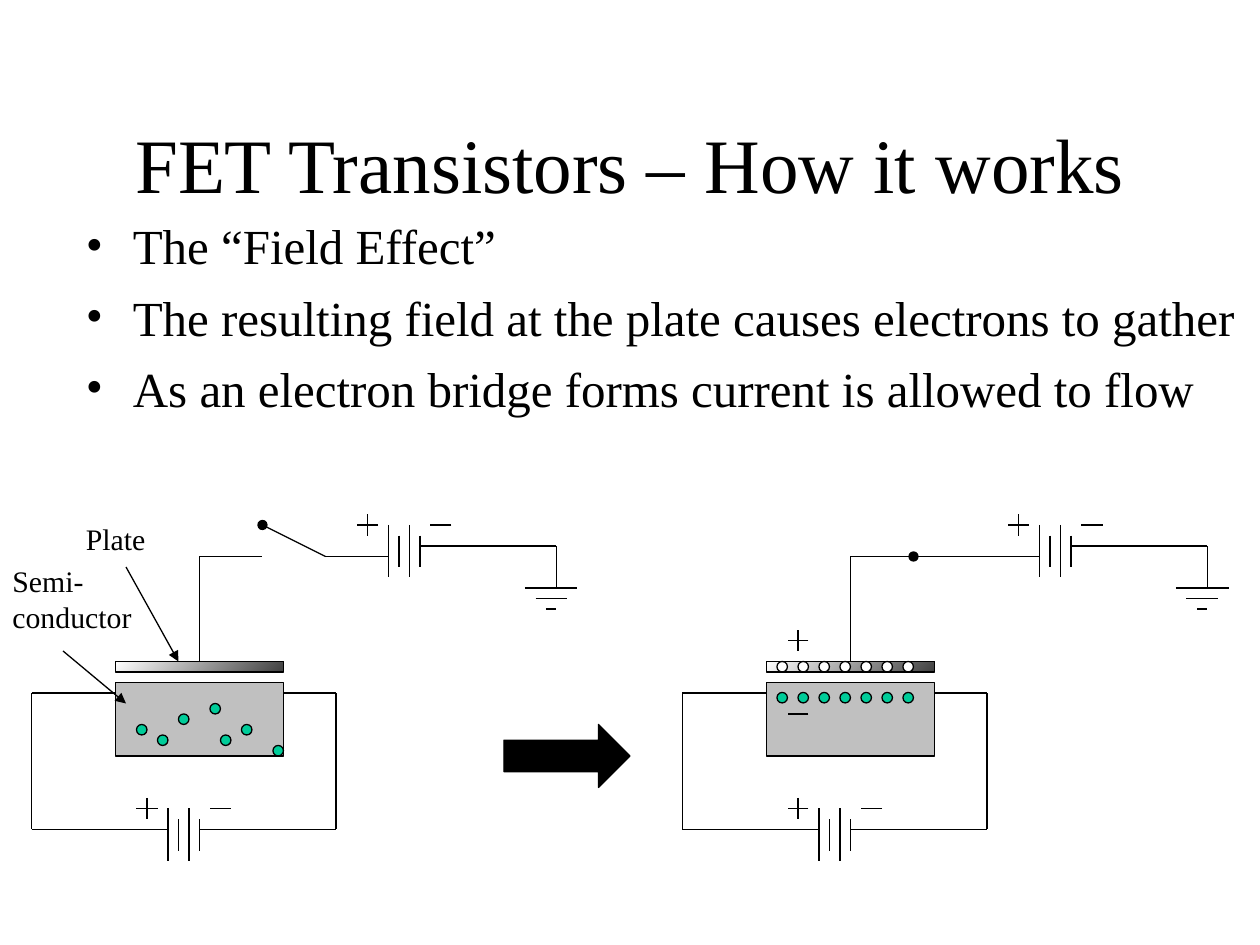
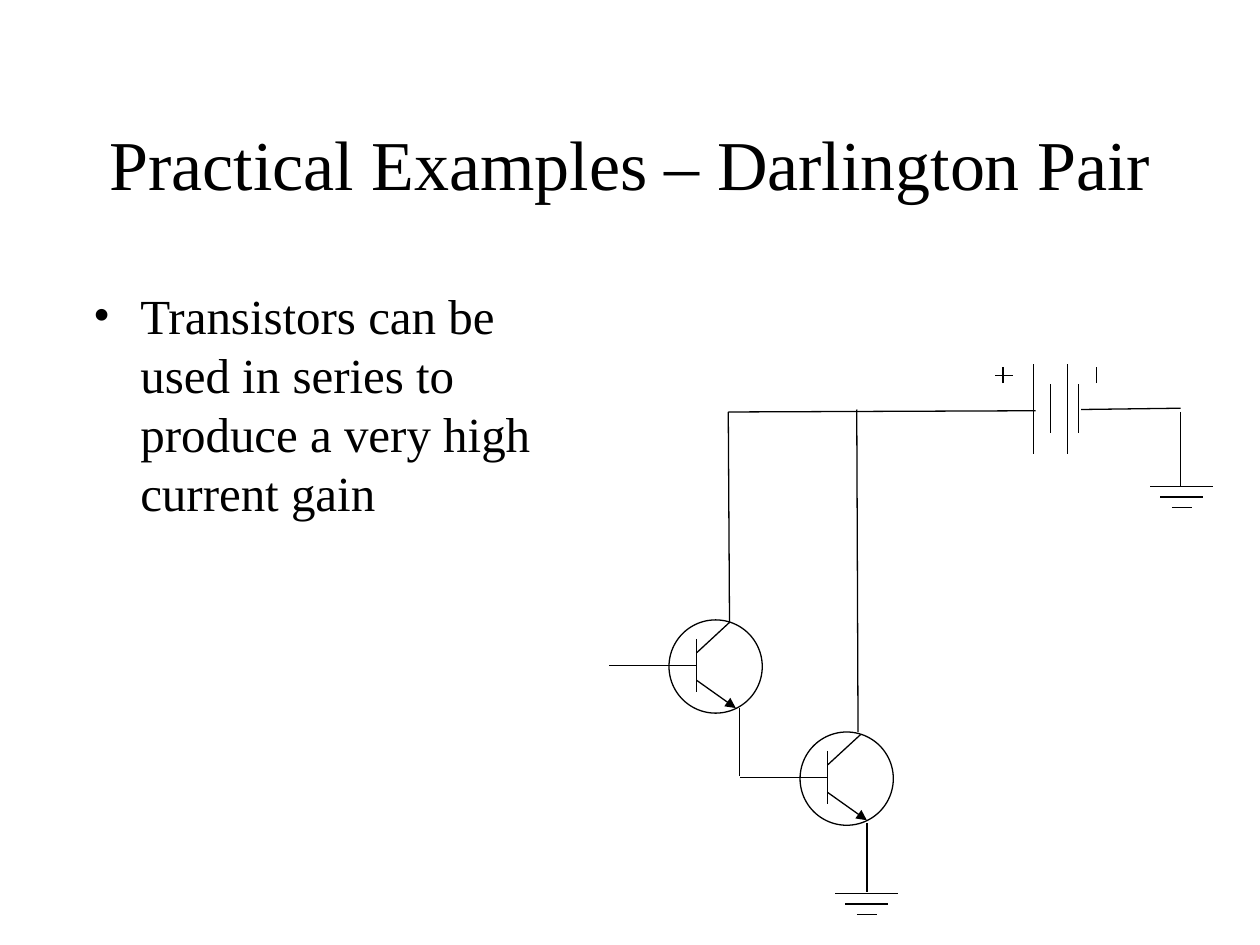
from itertools import pairwise

from lxml import etree
from pptx import Presentation
from pptx import util as u
from pptx.dml.color import RGBColor
from pptx.enum import shapes, text
from pptx.oxml.ns import qn

COLOURS = {
    "ink": "000000",
    "paper": "FFFFFF",
    "silicon": "C0C0C0",
    "electron": "00CC99",
    "plate_dark": "404040",
}
FONT = "Times New Roman"
TWELFTH = 2.54 / 12
INCH = 2.54
TITLE_BOX = (1.91, 1.69, 21.59, 3.18)
TITLE_FORMAT = {"alignment": text.PP_ALIGN.CENTER}
BULLET_FORMAT = {"space_before": u.Pt(7)}
LABEL_FORMAT = {"space_before": u.Pt(10.6)}

FIELD_EFFECT = {
    "title": ("FET Transistors – How it works", 44),
    "body_box": (1.48, 4.23, 23.93, 4.87),
    "bullets": [
        "The “Field Effect”",
        "The resulting field at the plate causes electrons to gather",
        "As an electron bridge forms current is allowed to flow",
    ],
}
DARLINGTON = {
    "title": ("Practical Examples – Darlington Pair", 40),
    "body_box": (1.63, 5.64, 10.58, 11.43),
    "bullets": ["Transistors can be used in series to produce a very high current gain"],
}

GATHERED_COLUMNS = range(12, 25, 2)
FET_STATES = [
    {
        "left": 0,
        "switch_tip": (25, 50),
        "electrons": [(13, 69), (15, 70), (17, 68), (20, 67), (21, 70), (23, 69), (26, 71)],
        "holes": [],
    },
    {
        "left": 62,
        "switch_tip": (25, 53),
        "electrons": [(column, 65.95) for column in GATHERED_COLUMNS],
        "holes": [(column, 63) for column in GATHERED_COLUMNS],
    },
]
FET_WIRES = [
    [(16, 79), (3, 79), (3, 66), (11, 66)],
    [(19, 79), (32, 79), (32, 66), (27, 66)],
    [(19, 63), (19, 53), (25, 53)],
    [(31, 53), (37, 53)],
    [(40, 52), (53, 52), (53, 56)],
]
FET_BATTERIES = [(16, 77), (37, 50)]
FET_GROUND = (52.5, 56)
FET_LABELS = [
    ("Semi-conductor", (0, 53, 16, 8)),
    ("Plate", (7, 49, 16, 4.7)),
]
FET_POINTERS = [[(6, 62), (12, 67)], [(12, 54), (17, 63)]]

TRANSISTORS = [(5.31, 4.92), (6.35, 5.81)]
TRANSISTOR_LINES = [
    [(0.22, 0.36), (-0.48, 0.36)],
    [(0.22, 0.15), (0.22, 0.57)],
    [(0.22, 0.26), (0.48, 0.02)],
]
EMITTER = [(0.22, 0.48), (0.53, 0.7)]
DARLINGTON_WIRES = [
    [(8.22, 3.26), (5.78, 3.27), (5.79, 4.94)],
    [(6.8, 3.25), (6.81, 5.81)],
    [(5.87, 5.62), (5.87, 6.16)],
    [(6.88, 6.53), (6.88, 7.08)],
    [(8.58, 3.25), (9.37, 3.24)],
    [(9.37, 3.27), (9.37, 3.86)],
    [(7.96, 3.04), (7.96, 2.91)],
    [(7.9, 2.98), (8.04, 2.98)],
    [(8.7, 3.04), (8.7, 2.91)],
]
BATTERY_PLATES = [(8.2, 2.89, 3.6), (8.34, 3.05, 3.44), (8.47, 2.89, 3.6), (8.56, 3.05, 3.44)]
DARLINGTON_GROUNDS = [(6.88, 7.09), (9.38, 3.86)]


def colour(name):
    return RGBColor.from_string(COLOURS[name])


def apply(target, values):
    for name, value in values.items():
        setattr(target, name, value)


def outline(shape):
    shape.line.color.rgb = colour("ink")
    shape.line.width = u.Pt(0.75)


def shift(points, left, top=0):
    return [(x + left, y + top) for x, y in points]


def add_text(page, bounds, lines, size, form, bullets=False, anchor=text.MSO_ANCHOR.TOP):
    box = page.shapes.add_textbox(*map(u.Cm, bounds))
    frame = box.text_frame
    apply(frame, {"word_wrap": True, "vertical_anchor": anchor})
    for index, line in enumerate(lines):
        para = frame.add_paragraph() if index else frame.paragraphs[0]
        apply(para, form)
        span = para.add_run()
        span.text = line
        apply(span.font, {"name": FONT, "size": u.Pt(size)})
        span.font.color.rgb = colour("ink")
        if bullets:
            properties = para._p.get_or_add_pPr()
            properties.set("marL", str(u.Cm(0.95)))
            properties.set("indent", str(-u.Cm(0.95)))
            etree.SubElement(properties, qn("a:buFont")).set("typeface", FONT)
            etree.SubElement(properties, qn("a:buChar")).set("char", "•")


def add_page(deck, content):
    page = deck.slides.add_slide(deck.slide_layouts[6])
    title, size = content["title"]
    add_text(page, TITLE_BOX, [title], size, TITLE_FORMAT, anchor=text.MSO_ANCHOR.MIDDLE)
    add_text(page, content["body_box"], content["bullets"], 28, BULLET_FORMAT, bullets=True)
    return page


class Circuit:
    def __init__(self, page, pitch):
        self.page = page
        self.pitch = pitch

    def scale(self, values):
        return [value * self.pitch for value in values]

    def wire(self, points, tail=None):
        for start, end in pairwise(points):
            ends = map(u.Cm, self.scale((*start, *end)))
            line = self.page.shapes.add_connector(shapes.MSO_CONNECTOR.STRAIGHT, *ends)
            outline(line)
            if tail:
                etree.SubElement(line.line._get_or_add_ln(), qn("a:tailEnd")).set("type", tail)
            etree.SubElement(line._element.spPr, qn("a:effectLst"))

    def shape(self, kind, bounds, fill=None):
        shape = self.page.shapes.add_shape(kind, *map(u.Cm, self.scale(bounds)))
        shape.shadow.inherit = False
        outline(shape)
        if fill:
            shape.fill.solid()
            shape.fill.fore_color.rgb = colour(fill)
        else:
            shape.fill.background()
        return shape

    def plus(self, x, y):
        self.wire([(x, y - 1), (x, y + 1)])
        self.minus(x, y)

    def minus(self, x, y):
        self.wire([(x + 1, y), (x - 1, y)])

    def battery(self, x, y):
        for index in range(4):
            inset = index % 2
            self.wire([(x + index, y + inset), (x + index, y + 5 - inset)])
        self.plus(x - 2, y)
        self.minus(x + 5, y)

    def ground(self, x, y, halves, step):
        for index, half in enumerate(halves):
            level = y + index * step
            self.wire([(x - half, level), (x + half, level)])

    def dots(self, places, left, fill):
        for x, y in shift(places, left):
            self.shape(shapes.MSO_SHAPE.OVAL, (x, y, 1, 1), fill)


def draw_fet(circuit, state):
    left = state["left"]
    circuit.shape(shapes.MSO_SHAPE.RECTANGLE, (left + 11, 65, 16, 7), "silicon")
    for points in FET_WIRES:
        circuit.wire(shift(points, left))
    circuit.wire(shift([(31, 53), state["switch_tip"]], left), "oval")
    for x, y in FET_BATTERIES:
        circuit.battery(left + x, y)
    x, y = FET_GROUND
    circuit.ground(left + x, y, (2.5, 1.5, 0.5), 1)
    plate = circuit.shape(shapes.MSO_SHAPE.RECTANGLE, (left + 11, 63, 16, 1))
    plate.fill.gradient()
    plate.fill.gradient_angle = 135
    for stop, name in zip(plate.fill.gradient_stops, ("plate_dark", "paper")):
        stop.color.rgb = colour(name)
    circuit.dots(state["electrons"], left, "electron")
    circuit.dots(state["holes"], left, "paper")


def build_field_effect(deck):
    page = add_page(deck, FIELD_EFFECT)
    circuit = Circuit(page, TWELFTH)
    for state in FET_STATES:
        draw_fet(circuit, state)
    circuit.shape(shapes.MSO_SHAPE.RIGHT_ARROW, (48, 69, 12, 6), "ink")
    circuit.plus(76, 61)
    circuit.minus(76, 68)
    for label, bounds in FET_LABELS:
        add_text(page, circuit.scale(bounds), [label], 17, LABEL_FORMAT)
    for points in FET_POINTERS:
        circuit.wire(points, "triangle")


def build_darlington(deck):
    circuit = Circuit(add_page(deck, DARLINGTON), INCH)
    for left, top in TRANSISTORS:
        circuit.shape(shapes.MSO_SHAPE.OVAL, (left, top, 0.74, 0.74))
        for points in TRANSISTOR_LINES:
            circuit.wire(shift(points, left, top))
        circuit.wire(shift(EMITTER, left, top), "triangle")
    for points in DARLINGTON_WIRES:
        circuit.wire(points)
    for x, top, bottom in BATTERY_PLATES:
        circuit.wire([(x, top), (x, bottom)])
    for x, y in DARLINGTON_GROUNDS:
        circuit.ground(x, y, (0.25, 0.17, 0.08), 0.085)


def main():
    deck = Presentation()
    apply(deck, {"slide_width": u.Cm(25.4), "slide_height": u.Cm(19.05)})
    build_field_effect(deck)
    build_darlington(deck)
    deck.save("out.pptx")


if __name__ == "__main__":
    main()
